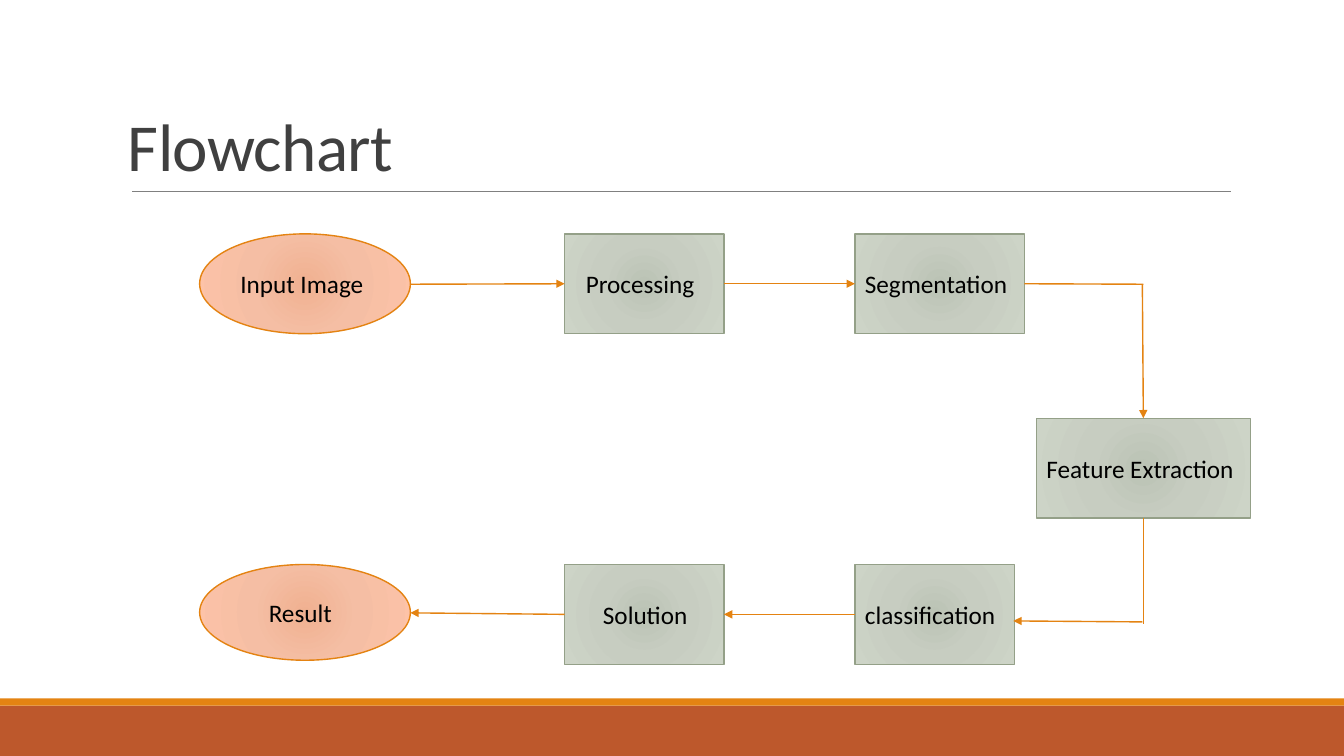
import pptx
import pptx.util
import pptx.dml.color
import pptx.enum.shapes
import pptx.enum.text
import pptx.oxml
import pptx.oxml.ns

THEME = {
    "font": "Calibri", "title_size": 48, "label_size": 18,
    "title": "404040", "label": "000000", "rule": "808080",
    "band": "BD582C", "accent": "E48312", "step_line": "94A088",
    "step_fill": ["BBC3B5", "C7CDC1", "CDD4C7"],
    "terminal_fill": ["F0B191", "F5BEA4", "FDC3A8"],
}
Inches = pptx.util.Inches
Color = pptx.dml.color.RGBColor.from_string
Kind = pptx.enum.shapes.MSO_SHAPE
NAMESPACE = pptx.oxml.ns.nsdecls("a")
TOP, LEFT, BOTTOM, RIGHT = range(4)

presentation = pptx.Presentation()
presentation.slide_width = Inches(13.33)
presentation.slide_height = Inches(7.5)
slide = presentation.slides.add_slide(presentation.slide_layouts[6])


def add_box(kind, left, top, width, height):
    shape = slide.shapes.add_shape(kind, *map(Inches, (left, top, width, height)))
    shape.shadow.inherit = False
    return shape


def add_line(start, end, color, weight, arrow=False):
    line = slide.shapes.add_connector(
        pptx.enum.shapes.MSO_CONNECTOR.STRAIGHT, *map(Inches, start + end))
    line.line.color.rgb = Color(color)
    line.line.width = pptx.util.Pt(weight)
    if arrow:
        line.line._get_or_add_ln().append(
            pptx.oxml.parse_xml(f'<a:tailEnd {NAMESPACE} type="triangle"/>'))
    line._element.spPr.append(pptx.oxml.parse_xml(f"<a:effectLst {NAMESPACE}/>"))
    return line


for top, height, color in [(7, 0.5, THEME["band"]), (6.93, 0.07, THEME["accent"])]:
    band = add_box(Kind.RECTANGLE, 0, top, 13.33, height)
    band.fill.solid()
    band.fill.fore_color.rgb = Color(color)
    band.line.fill.background()
add_line((1.31, 1.9), (12.21, 1.9), THEME["rule"], 0.5)

title = slide.shapes.add_textbox(*map(Inches, (1.17, 1.07, 11, 0.82)))
title.text_frame.word_wrap = True
title.text_frame.vertical_anchor = pptx.enum.text.MSO_ANCHOR.BOTTOM
paragraph = title.text_frame.paragraphs[0]
paragraph.text = "Flowchart"
paragraph.line_spacing = 0.85
paragraph.font.name = THEME["font"]
paragraph.font.size = pptx.util.Pt(THEME["title_size"])
paragraph.font.color.rgb = Color(THEME["title"])
paragraph.runs[0]._r.get_or_add_rPr().set("spc", "-50")

columns = [1.98, 5.6, 8.48, 10.28]
rows = [2.32, 4.15, 5.6]
nodes = [
    ("Input Image", Kind.OVAL, 0, 0, 2.09, 0.99, 0),
    ("Processing", Kind.RECTANGLE, 1, 0, 1.58, 0.99, 0.11),
    ("Segmentation", Kind.RECTANGLE, 2, 0, 1.68, 0.99, 0),
    ("classification", Kind.RECTANGLE, 2, 2, 1.58, 0.99, 0),
    ("Solution", Kind.RECTANGLE, 1, 2, 1.58, 0.99, 0.28),
    ("Feature Extraction", Kind.RECTANGLE, 3, 1, 2.12, 0.99, 0),
    ("Result", Kind.OVAL, 0, 2, 2.09, 0.95, 0.28),
]
boxes = {}
for label, kind, column, row, width, height, indent in nodes:
    shape = add_box(kind, columns[column], rows[row], width, height)
    boxes[label] = shape
    terminal = kind == Kind.OVAL
    colors = THEME["terminal_fill" if terminal else "step_fill"]
    stops = "".join(
        f'<a:gs pos="{position * 1000}"><a:srgbClr val="{color}"/></a:gs>'
        for position, color in zip((0, 45, 100), colors))
    shape._element.spPr.insert(2, pptx.oxml.parse_xml(
        f'<a:gradFill {NAMESPACE} rotWithShape="1"><a:gsLst>{stops}</a:gsLst>'
        '<a:path path="circle"><a:fillToRect l="100000" t="100000" r="100000" b="100000"/>'
        "</a:path></a:gradFill>"))
    shape.line.color.rgb = Color(THEME["accent" if terminal else "step_line"])
    shape.line.width = pptx.util.Pt(1)
    shape.text_frame.word_wrap = True
    shape.text_frame.margin_left = Inches(0.1 + indent)
    shape.text_frame.vertical_anchor = pptx.enum.text.MSO_ANCHOR.MIDDLE
    paragraph = shape.text_frame.paragraphs[0]
    paragraph.text = label
    paragraph.alignment = pptx.enum.text.PP_ALIGN.LEFT
    paragraph.font.name = THEME["font"]
    paragraph.font.size = pptx.util.Pt(THEME["label_size"])
    paragraph.font.color.rgb = Color(THEME["label"])

flows = [
    ((4.07, 2.82), (5.6, 2.82), True, None, ("Processing", LEFT)),
    ((7.18, 2.82), (8.48, 2.82), True, ("Processing", RIGHT), ("Segmentation", LEFT)),
    ((11.33, 2.82), (11.33, 4.15), True, None, ("Feature Extraction", TOP)),
    ((10.17, 2.82), (11.34, 2.82), False, ("Segmentation", RIGHT), None),
    ((11.33, 6.17), (10.05, 6.16), True, None, None),
    ((11.33, 5.14), (11.34, 6.19), False, ("Feature Extraction", BOTTOM), None),
    ((8.48, 6.09), (7.18, 6.09), True, ("classification", LEFT), ("Solution", RIGHT)),
    ((5.6, 6.09), (4.07, 6.08), True, ("Solution", LEFT), None),
]
for start, end, arrow, source, target in flows:
    flow = add_line(start, end, THEME["accent"], 1, arrow)
    if source:
        flow.begin_connect(boxes[source[0]], source[1])
    if target:
        flow.end_connect(boxes[target[0]], target[1])

presentation.save("out.pptx")
